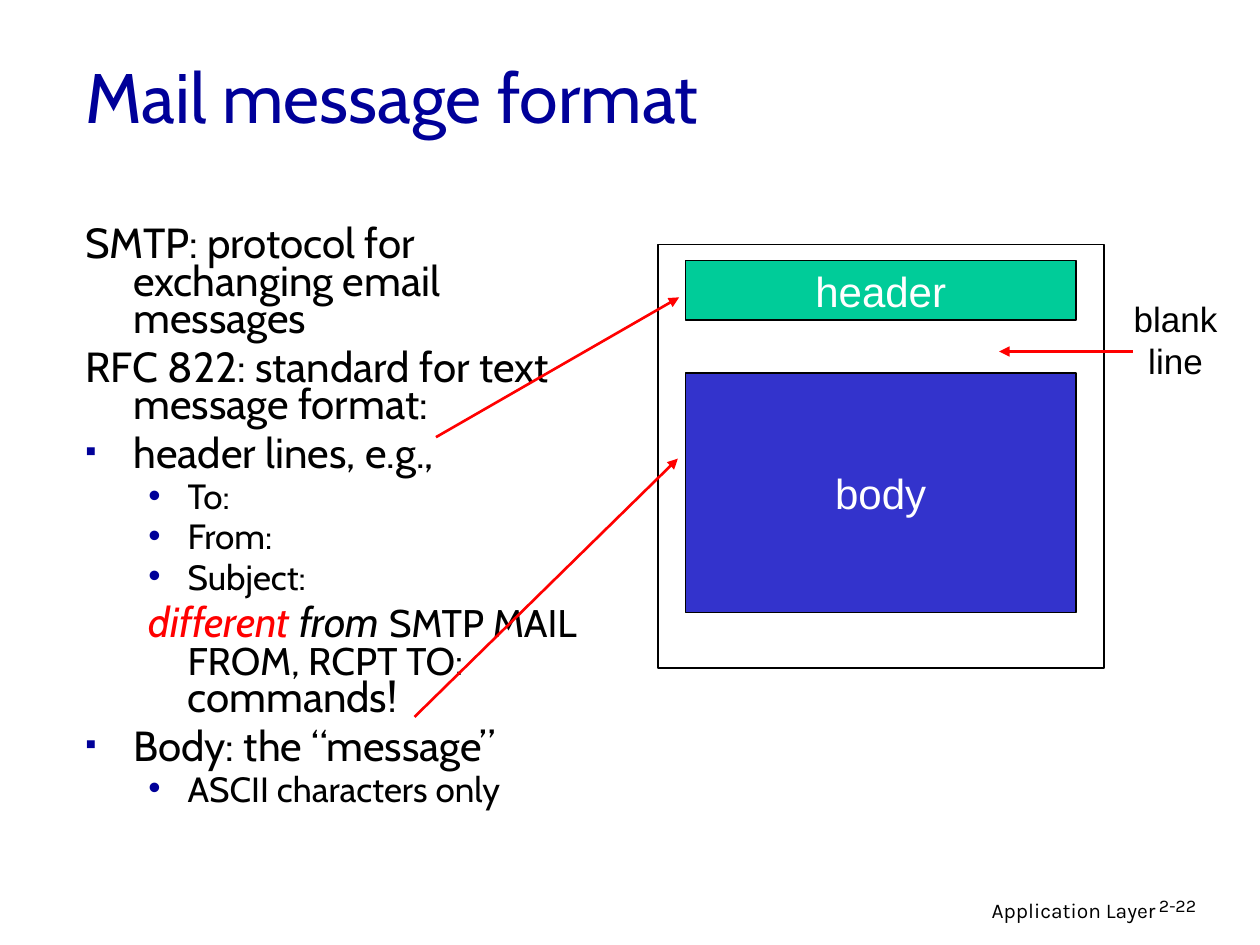
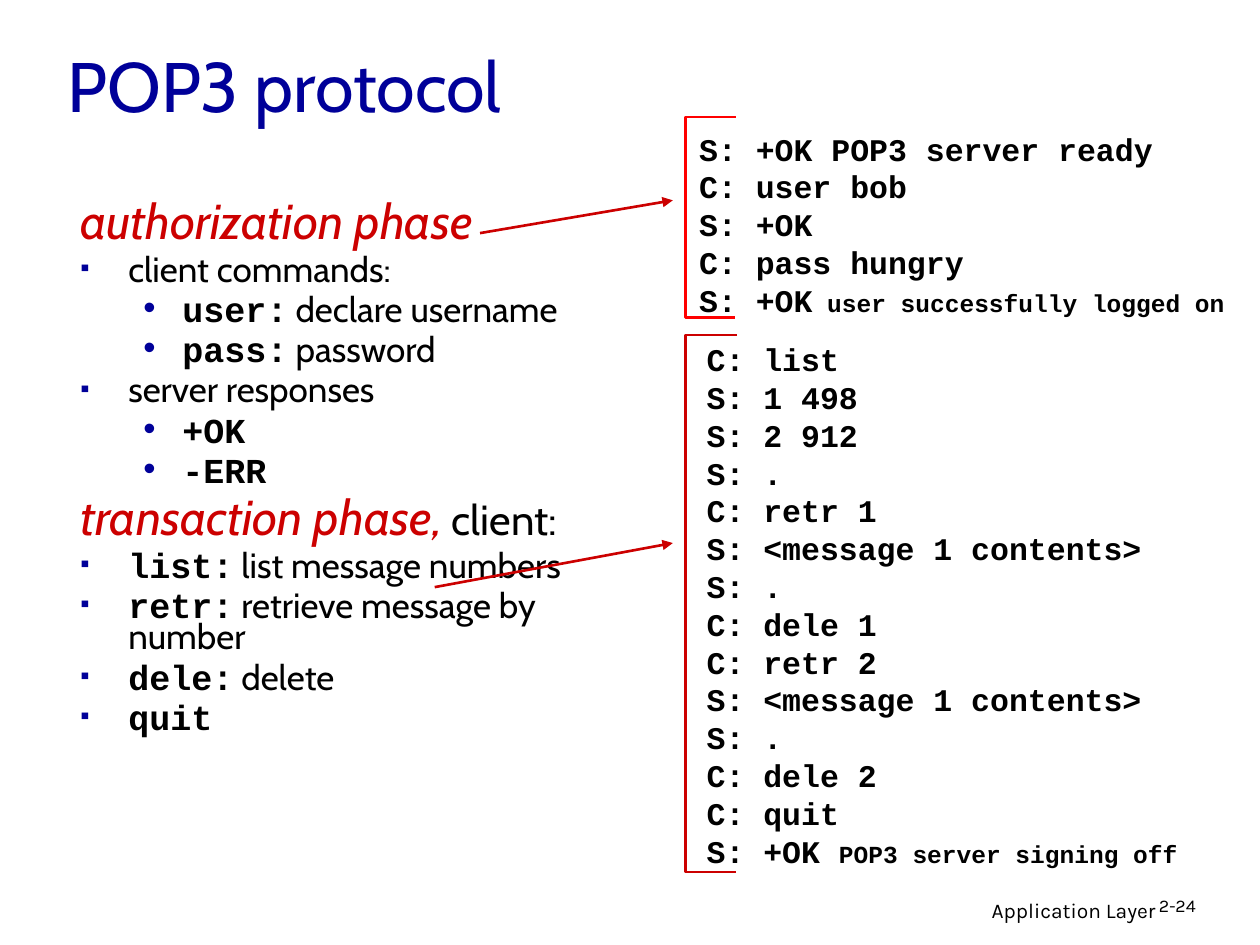
from lxml.etree import SubElement
from pptx import Presentation
from pptx.dml.color import RGBColor
from pptx.enum.shapes import MSO_CONNECTOR, MSO_SHAPE
from pptx.enum.text import MSO_ANCHOR, PP_ALIGN
from pptx.oxml.ns import qn
from pptx.util import Pt

PX = 9144
NAVY = RGBColor(0x00, 0x00, 0x99)
BLACK = RGBColor(0x00, 0x00, 0x00)
WHITE = RGBColor(0xFF, 0xFF, 0xFF)
RED = RGBColor(0xFF, 0x00, 0x00)
CRIMSON = RGBColor(0xCC, 0x00, 0x00)
GREEN = RGBColor(0x00, 0xCC, 0x99)
BLUE = RGBColor(0x33, 0x33, 0xCC)

HUMAN, SMALL, PLAIN, MONO = "Cabin", "Karla", "Arial", "Courier New"
CODE = {"name": MONO, "bold": True}
PHASE = {"color": CRIMSON, "italic": True, "size": 28}
NOTE = {"size": 14}

LEAD = (0, 38, 38, None, 0)
MAIN = (0, 38, 38, "▪", 75)
SUB = (1, 81, 31, "•", 100)
SUBLEAD = (1, 81, 31, None, 0)


class Deck:
    def __init__(self):
        self.file = Presentation()
        self.file.slide_width = 1000 * PX
        self.file.slide_height = 750 * PX
        self.shapes = None

    def slide(self, title, box, number):
        self.shapes = self.file.slides.add_slide(self.file.slide_layouts[6]).shapes
        self.text((610, 707, 317, 31), ["Application Layer"], SMALL, 12,
                  align=PP_ALIGN.RIGHT)
        self.text((910, 707, 74, 30), [number], SMALL, 10.2, spacing=0.9)
        self.text(box, [title], HUMAN, 40, NAVY, anchor=MSO_ANCHOR.MIDDLE)

    def style(self, font, name=None, size=None, color=None, bold=None, italic=None):
        if name:
            font.name = name
        if size:
            font.size = Pt(size)
        if color is not None:
            font.color.rgb = color
        if bold is not None:
            font.bold = bold
        if italic is not None:
            font.italic = italic

    def fill(self, para, runs, look):
        runs = [(run, {}) if isinstance(run, str) else run for run in runs]
        if len(runs) == 1:
            look = {**look, **runs[0][1]}
        self.style(para.font, **look)
        for words, extra in runs:
            run = para.add_run()
            run.text = words
            if len(runs) > 1:
                self.style(run.font, **extra)

    def paras(self, frame, count):
        return [frame.paragraphs[0]] + [frame.add_paragraph() for _ in range(count - 1)]

    def frame(self, box, anchor=MSO_ANCHOR.TOP):
        frame = self.shapes.add_textbox(*(n * PX for n in box)).text_frame
        frame.word_wrap = True
        frame.vertical_anchor = anchor
        return frame

    def text(self, box, lines, name, size, color=BLACK, bold=None,
             align=PP_ALIGN.LEFT, spacing=None, anchor=MSO_ANCHOR.TOP):
        frame = self.frame(box, anchor)
        look = {"name": name, "size": size, "color": color, "bold": bold}
        for para, line in zip(self.paras(frame, len(lines)), lines):
            para.alignment = align
            para.line_spacing = spacing
            self.fill(para, [line] if isinstance(line, str) else line, look)

    def code(self, box, lines):
        self.text(box, lines, MONO, 18, bold=True, spacing=Pt(21.6))

    def body(self, box, items):
        paras = self.paras(self.frame(box), len(items))
        for spot, (para, (kind, size, *runs)) in enumerate(zip(paras, items)):
            level, left, hang, mark, scale = kind
            para.level = level
            para.line_spacing = 0.75
            para.space_before = Pt(size / 4 if spot else 0)
            props = para._p.get_or_add_pPr()
            props.set("marL", str(left * PX))
            props.set("indent", str(-hang * PX))
            if mark:
                tint = SubElement(props, qn("a:buClr"))
                SubElement(tint, qn("a:srgbClr"), val=str(NAVY))
                SubElement(props, qn("a:buSzPct"), val=str(scale * 1000))
                SubElement(props, qn("a:buFont"), typeface=PLAIN)
                SubElement(props, qn("a:buChar"), char=mark)
            self.fill(para, runs, {"name": HUMAN, "size": size, "color": BLACK})

    def block(self, box, color=None, label=None, width=0.75):
        shape = self.shapes.add_shape(MSO_SHAPE.RECTANGLE, *(n * PX for n in box))
        shape.shadow.inherit = False
        shape.line.color.rgb = BLACK
        shape.line.width = Pt(width)
        if color is None:
            shape.fill.background()
        else:
            shape.fill.solid()
            shape.fill.fore_color.rgb = color
        if label:
            frame = shape.text_frame
            frame.vertical_anchor = MSO_ANCHOR.MIDDLE
            para = frame.paragraphs[0]
            para.alignment = PP_ALIGN.CENTER
            self.fill(para, [label], {"name": PLAIN, "size": 24, "color": WHITE})

    def arrow(self, start, end, color):
        link = self.shapes.add_connector(
            MSO_CONNECTOR.STRAIGHT, *(n * PX for n in start + end))
        link.line.color.rgb = color
        link.line.width = Pt(1.5)
        SubElement(link.line._get_or_add_ln(), qn("a:tailEnd"), type="triangle")
        SubElement(link._element.spPr, qn("a:effectLst"))

    def bracket(self, left, top, bottom, upper, lower, color):
        pen = self.shapes.build_freeform(upper, top, scale=PX)
        pen.add_line_segments([(left, top), (left, bottom), (lower, bottom)], close=False)
        shape = pen.convert_to_shape()
        shape.shadow.inherit = False
        shape.fill.background()
        shape.line.color.rgb = color
        shape.line.width = Pt(1.5)


def mail(deck):
    deck.slide("Mail message format", (58, 13, 850, 125), "2-22")
    deck.body((58, 176, 429, 508), [
        (LEAD, 24, "SMTP: protocol for exchanging email messages"),
        (LEAD, 24, "RFC 822: standard for text message format:"),
        (MAIN, 24, "header lines, e.g.,"),
        *((SUB, 20, field) for field in ("To:", "From:", "Subject:")),
        (SUBLEAD, 24, ("different ", {"color": RED, "italic": True}),
         ("from ", {"italic": True}),
         ("SMTP MAIL FROM, RCPT TO:", {"size": 22}), " commands!"),
        (MAIN, 24, "Body: the “message”"),
        (SUB, 20, "ASCII characters only"),
    ])
    deck.block((544, 207, 310, 47), GREEN, "header")
    deck.block((544, 296, 310, 190), BLUE, "body")
    deck.block((522, 194, 354, 336), width=1)
    deck.arrow((346, 347), (539, 236), RED)
    deck.arrow((329, 569), (538, 364), RED)
    deck.text((873, 231, 120, 77), ["blank", "line"], PLAIN, 20,
              align=PP_ALIGN.CENTER, spacing=Pt(24))
    deck.arrow((899, 279), (793, 279), RED)


def pop(deck):
    deck.slide("POP3 protocol", (44, 14, 850, 106), "2-24")
    deck.body((54, 157, 434, 508), [
        (LEAD, 28, ("authorization phase", PHASE)),
        (MAIN, 20, "client commands:"),
        (SUB, 20, ("user:", CODE), " declare username"),
        (SUB, 20, ("pass:", CODE), " password"),
        (MAIN, 20, "server responses"),
        (SUB, 20, ("+OK", CODE)),
        (SUB, 20, ("-ERR", CODE)),
        (LEAD, 24, ("transaction phase,", PHASE), " client:"),
        (MAIN, 20, ("list:", CODE), " list message numbers"),
        (MAIN, 20, ("retr:", CODE), " retrieve message by number"),
        (MAIN, 20, ("dele:", CODE), " delete"),
        (MAIN, 20, ("quit", CODE)),
    ])
    deck.code((551, 265, 395, 428), [
        "C: list", "S: 1 498", "S: 2 912", "S: .",
        "C: retr 1", "S: <message 1 contents>", "S: .", "C: dele 1",
        "C: retr 2", "S: <message 1 contents>", "S: .", "C: dele 2",
        "C: quit", ["S: +OK ", ("POP3 server signing off", NOTE)],
    ])
    deck.code((545, 98, 450, 157), [
        "S: +OK POP3 server ready", "C: user bob", "S: +OK", "C: pass hungry",
        ["S: +OK", (" user successfully logged on", NOTE)],
    ])
    deck.bracket(544, 93, 252, 584, 583, RED)
    deck.arrow((381, 185), (534, 159), CRIMSON)
    deck.bracket(544, 266, 692, 585, 584, CRIMSON)
    deck.arrow((345, 466), (534, 431), CRIMSON)


def main():
    deck = Deck()
    mail(deck)
    pop(deck)
    deck.file.save("out.pptx")


if __name__ == "__main__":
    main()
